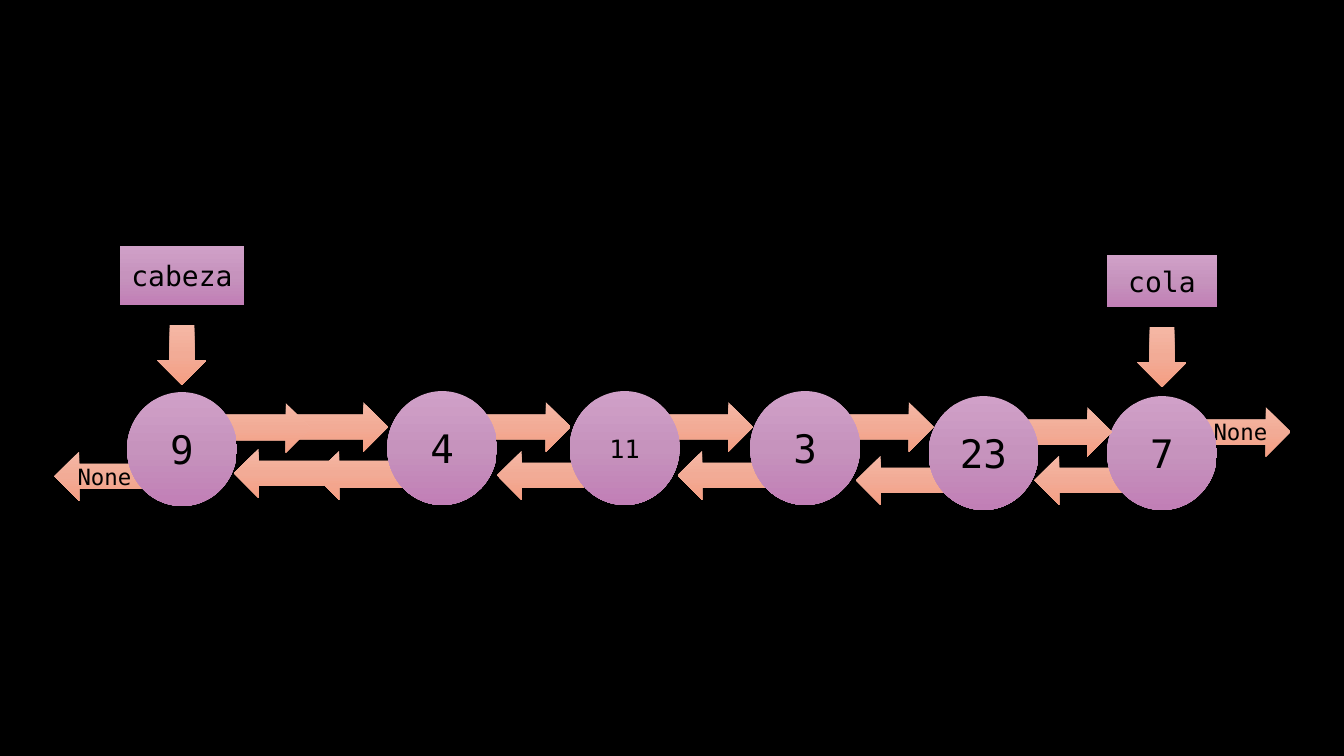
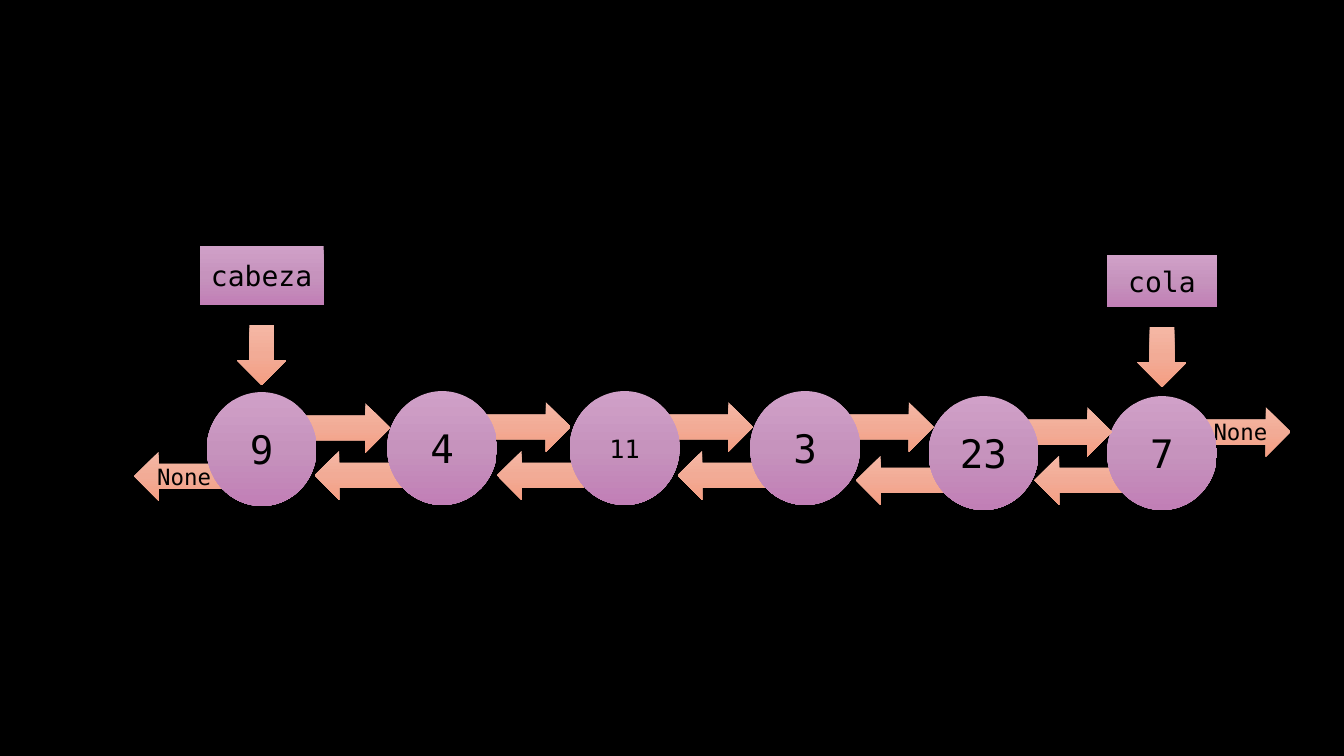
from dataclasses import dataclass

from pptx import Presentation, util as u
from pptx.dml.color import RGBColor
from pptx.enum import shapes, text
from pptx.oxml import parse_xml
from pptx.oxml.ns import nsdecls, qn

PX = 9144  # EMU per px: 100 px to the inch
SLIDE_WIDTH, SLIDE_HEIGHT = 1333, 750
FONT = "DejaVu Sans Mono"
COLORS = {"background": "000000", "text": "000000"}
GRADIENTS = {
    "arrow": ("F5B8A5", "F2AB96", "F59E82"),
    "node": ("D0A0C8", "C693BD", "C17FB6"),
}
KIND = shapes.MSO_SHAPE

CIRCLE_WIDTH, CIRCLE_HEIGHT = 109, 113
ARROW_LENGTH, ARROW_THICKNESS = 87, 49
NEXT_OFFSET = (95, 11)
PREVIOUS_OFFSET = (-72, 59)
POINTER_GAP, POINTER_LENGTH = 19, 60


@dataclass(frozen=True)
class Node:
    value: str
    left: int
    top: int
    size: int = 28
    next_text: str = ""
    previous_text: str = ""

    @property
    def center(self) -> float:
        return self.left + CIRCLE_WIDTH / 2


@dataclass(frozen=True)
class Label:
    name: str
    top: int
    width: int
    height: int


TAIL = Node("7", 1098, 393, next_text="None")
MIDDLE = [
    Node("23", 921, 393),
    Node("3", 744, 388),
    Node("11", 565, 388, size=18),
]
SECOND = Node("4", 384, 388)
HEAD_LABEL = Label("cabeza", 244, 123, 59)
TAIL_LABEL = Label("cola", 253, 109, 52)


def add_block(slide, kind, gradient: str, left: float, top: float,
              width: int, height: int, caption: str = "", size: int = 16) -> None:
    """Add a borderless gradient shape with an optional centred caption."""
    shape = slide.shapes.add_shape(
        kind, *(round(length * PX) for length in (left, top, width, height)))
    shape.shadow.inherit = False
    shape.line.fill.background()
    fill_gradient(shape, GRADIENTS[gradient])
    if not caption:
        return
    frame = shape.text_frame
    frame.word_wrap = True
    frame.vertical_anchor = text.MSO_ANCHOR.MIDDLE
    paragraph = frame.paragraphs[0]
    paragraph.text = caption
    paragraph.alignment = text.PP_ALIGN.CENTER
    paragraph.font.name = FONT
    paragraph.font.size = u.Pt(size)
    paragraph.font.color.rgb = RGBColor.from_string(COLORS["text"])


def fill_gradient(shape, colors: tuple[str, ...]) -> None:
    """Fill from top to bottom with evenly spaced stops."""
    step = 100000 // (len(colors) - 1)
    stops = "".join(
        f'<a:gs pos="{index * step}"><a:srgbClr val="{color}"/></a:gs>'
        for index, color in enumerate(colors))
    shape.fill.gradient()
    properties = shape.element.spPr
    properties.replace(properties.find(qn("a:gradFill")), parse_xml(
        f'<a:gradFill {nsdecls("a")} rotWithShape="1"><a:gsLst>{stops}</a:gsLst>'
        '<a:lin ang="5400000" scaled="0"/></a:gradFill>'))


def add_arrow(slide, kind, left: int, top: int,
              length: int = ARROW_LENGTH, caption: str = "") -> None:
    add_block(slide, kind, "arrow", left, top, length, ARROW_THICKNESS, caption)


def add_links(slide, node: Node) -> None:
    """Add the arrows from a node to the next and the previous one."""
    for kind, (dx, dy), caption in (
            (KIND.RIGHT_ARROW, NEXT_OFFSET, node.next_text),
            (KIND.LEFT_ARROW, PREVIOUS_OFFSET, node.previous_text)):
        add_arrow(slide, kind, node.left + dx, node.top + dy, caption=caption)


def add_circle(slide, node: Node) -> None:
    add_block(slide, KIND.OVAL, "node", node.left, node.top,
              CIRCLE_WIDTH, CIRCLE_HEIGHT, node.value, node.size)


def add_pointer(slide, label: Label, node: Node) -> None:
    """Add a label centred above a node, with an arrow down to it."""
    add_block(slide, KIND.RECTANGLE, "node", node.center - label.width / 2,
              label.top, label.width, label.height, label.name, 20)
    add_block(slide, KIND.DOWN_ARROW, "arrow", node.center - ARROW_THICKNESS / 2,
              label.top + label.height + POINTER_GAP,
              ARROW_THICKNESS, POINTER_LENGTH)


def add_list_slide(presentation, head_left: int, inserting: bool) -> None:
    """Draw the linked list; long arrows join the head while it is inserted."""
    slide = presentation.slides.add_slide(presentation.slide_layouts[6])
    background = slide.background.fill
    background.solid()
    background.fore_color.rgb = RGBColor.from_string(COLORS["background"])

    head = Node("9", head_left, 389, previous_text="None")
    for node in (TAIL, *MIDDLE):
        add_links(slide, node)
        add_circle(slide, node)
    add_pointer(slide, TAIL_LABEL, TAIL)
    add_links(slide, SECOND)
    if inserting:
        add_arrow(slide, KIND.RIGHT_ARROW, 221, 399, length=164)
    add_links(slide, head)
    add_pointer(slide, HEAD_LABEL, head)
    add_circle(slide, head)
    if inserting:
        add_arrow(slide, KIND.LEFT_ARROW, 232, 445, length=166)
    add_circle(slide, SECOND)


def main() -> None:
    presentation = Presentation()
    presentation.slide_width = SLIDE_WIDTH * PX
    presentation.slide_height = SLIDE_HEIGHT * PX
    add_list_slide(presentation, head_left=126, inserting=True)
    add_list_slide(presentation, head_left=205, inserting=False)
    presentation.save("out.pptx")


if __name__ == "__main__":
    main()
